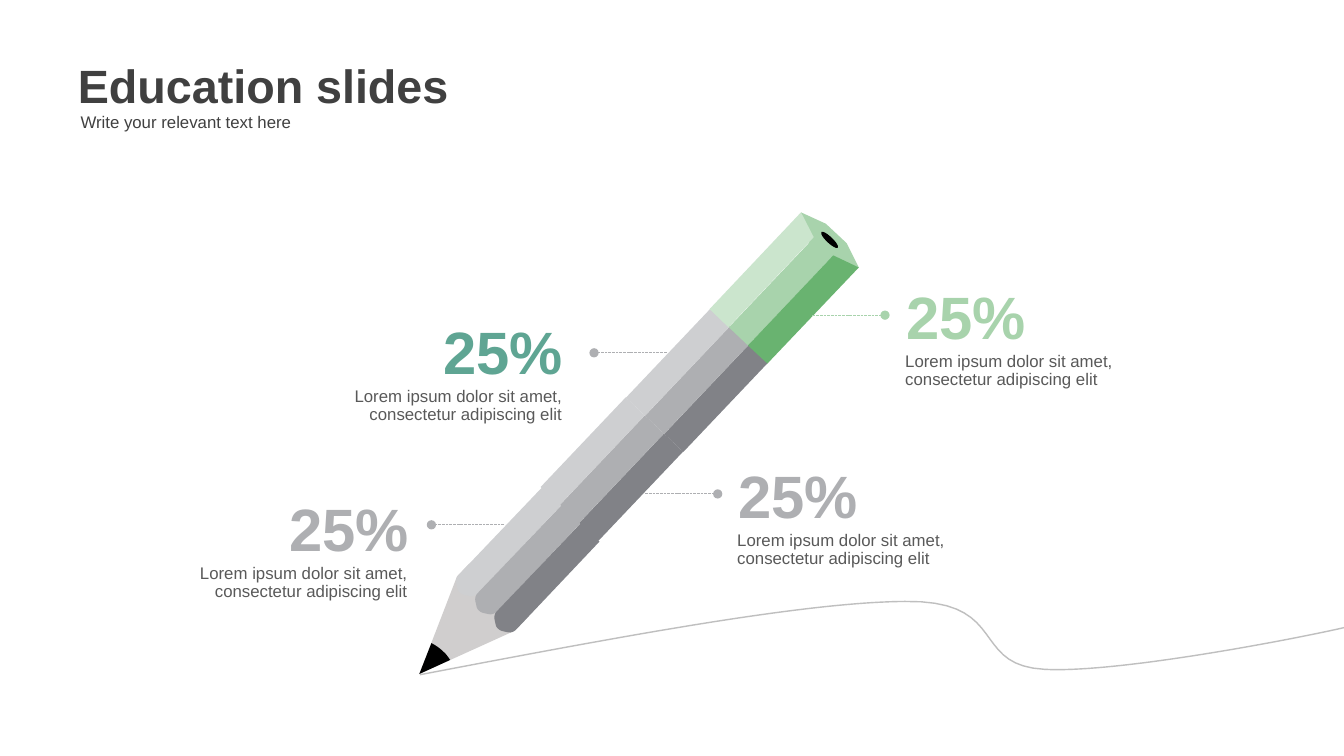
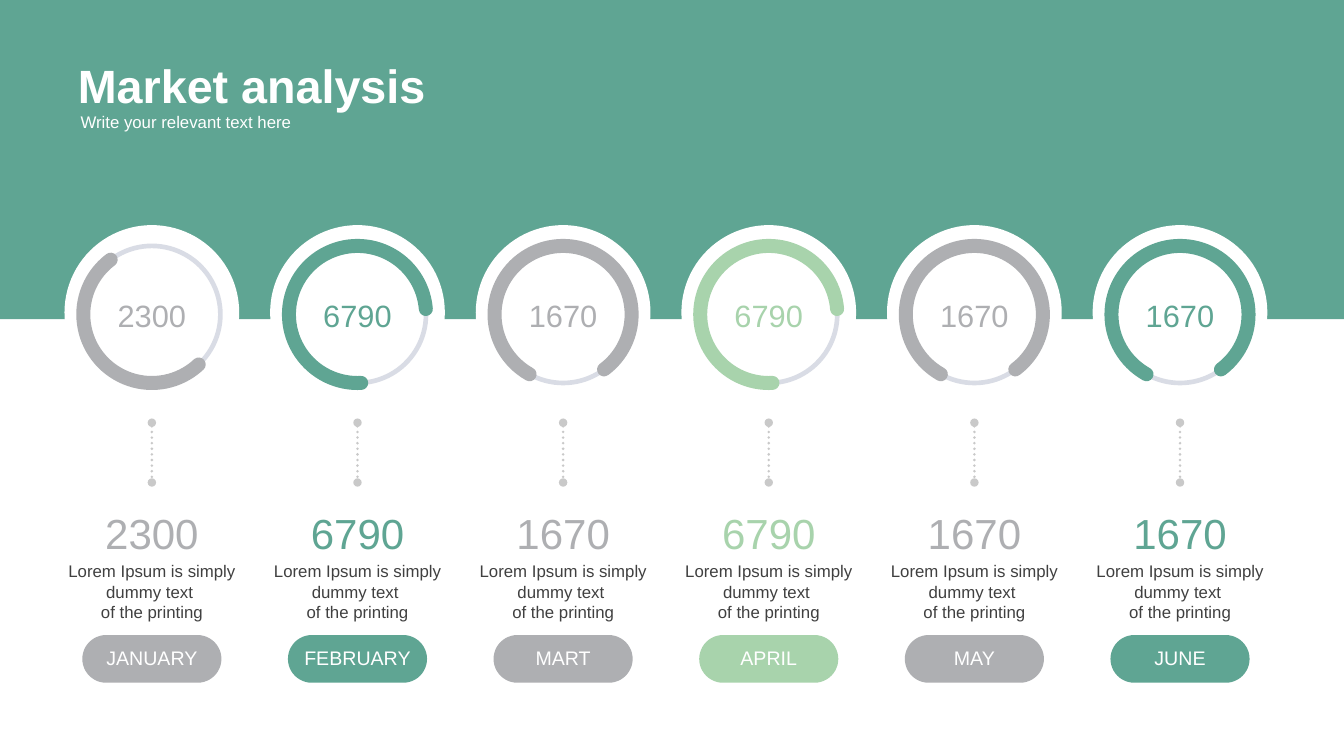
import math

import pptx
import pptx.dml.color
import pptx.enum.dml
import pptx.enum.shapes
import pptx.enum.text
import pptx.oxml.ns
import pptx.util
from lxml import etree

# The page is a grid of square cells; every length below counts cells.
COLUMNS, ROWS = 20, 11.25
CELL = pptx.util.Inches(1)

FONT = "Arial"
TEAL, GREEN, GRAY = "5FA593", "A8D3AC", "AEAFB2"
DARK_GREEN, PALE_GREEN = "69B370", "CBE5CD"
LIGHT_GRAY, DARK_GRAY, WOOD = "CECFD1", "818287", "D0CECE"
WHITE, BLACK, INK, BODY = "FFFFFF", "000000", "404040", "595959"
RING, TRAIL, LINK = "D9DCE5", "BFBFBF", "A6A6A6"

Shape = pptx.enum.shapes.MSO_SHAPE
Align = pptx.enum.text.PP_ALIGN
Dash = pptx.enum.dml.MSO_LINE


def cells(count):
    return round(count * CELL)


def rgb(color):
    return pptx.dml.color.RGBColor.from_string(color)


def paint(shape, fill=None, line=None, weight=1):
    shape.shadow.inherit = False
    if fill:
        shape.fill.solid()
        shape.fill.fore_color.rgb = rgb(fill)
    else:
        shape.fill.background()
    if line:
        shape.line.color.rgb = rgb(line)
        shape.line.width = pptx.util.Pt(weight)
    else:
        shape.line.fill.background()
    return shape


def add_shape(page, kind, box, **colors):
    return paint(page.shapes.add_shape(kind, *map(cells, box)), **colors)


def write(shape, lines, size, color, align=Align.LEFT, bold=False, spacing=None):
    frame = shape.text_frame
    for index, line in enumerate(lines):
        para = frame.paragraphs[0] if index == 0 else frame.add_paragraph()
        para.text = line
        para.alignment = align
        para.line_spacing = spacing
        para.font.name = FONT
        para.font.size = pptx.util.Pt(size)
        para.font.bold = bold
        para.font.color.rgb = rgb(color)


def add_text(page, box, lines, size, color, wrap=True, inset=True, **style):
    shape = page.shapes.add_textbox(*map(cells, box))
    frame = shape.text_frame
    frame.word_wrap = wrap
    frame.auto_size = pptx.enum.text.MSO_AUTO_SIZE.SHAPE_TO_FIT_TEXT
    if not inset:
        frame.margin_left = frame.margin_right = 0
        frame.margin_top = frame.margin_bottom = 0
    write(shape, lines, size, color, **style)


def add_element(parent, tag, **attributes):
    return etree.SubElement(parent, pptx.oxml.ns.qn(tag), **attributes)


def line_element(shape):
    return shape.line._get_or_add_ln()


def add_dotted_line(page, start, end, color, weight, dash, ends, dot_size):
    line = page.shapes.add_connector(
        pptx.enum.shapes.MSO_CONNECTOR.STRAIGHT, *map(cells, start + end))
    line.line.color.rgb = rgb(color)
    line.line.width = pptx.util.Pt(weight)
    line.line.dash_style = dash
    for tag in ends:
        add_element(line_element(line), tag, type="oval", w=dot_size, len=dot_size)
    add_element(line._element.spPr, "a:effectLst")
    return line


def trace(start, *steps):
    """Return points along steps: pairs are corners, sextets are cubic curves."""
    points = [start]
    for step in steps:
        if len(step) == 2:
            points.append(step)
            continue
        ends = [points[-1], step[:2], step[2:4], step[4:]]
        count = max(4, round(math.dist(ends[0], ends[3]) * 8))
        for t in (index / count for index in range(1, count + 1)):
            weights = ((1 - t) ** 3, 3 * t * (1 - t) ** 2, 3 * t * t * (1 - t), t ** 3)
            points.append(tuple(sum(w * end[axis] for w, end in zip(weights, ends))
                                for axis in (0, 1)))
    return points


def add_outline(page, points, closed=True, **colors):
    points = [tuple(map(cells, point)) for point in points]
    builder = page.shapes.build_freeform(*points[0])
    builder.add_line_segments(points[1:], close=closed)
    return paint(builder.convert_to_shape(), **colors)


def add_title(page, title, color, width):
    add_text(page, (1.06, 0.79, width, 0.94), [title], 50, color,
             align=Align.JUSTIFY, bold=True)
    add_text(page, (1.1, 1.61, 9.04, 0.4), ["Write your relevant text here"], 18, color)


# Pencil slide

PENCIL_TURN = 313.5
FACET_STEP = (0.285, 0.27)
FACETS = (LIGHT_GRAY, GRAY, DARK_GRAY)


def turn(point, degrees):
    angle = math.radians(degrees)
    x, y = point
    return (x * math.cos(angle) - y * math.sin(angle),
            x * math.sin(angle) + y * math.cos(angle))


def add_tilted_outline(page, points, fill):
    """Draw an outline whose frame is turned along the pencil."""
    level = [turn(point, -PENCIL_TURN) for point in points]
    middle = [(min(axis) + max(axis)) / 2 for axis in zip(*level)]
    center = turn(middle, PENCIL_TURN)
    shifted = [(x + center[0] - middle[0], y + center[1] - middle[1]) for x, y in level]
    add_outline(page, shifted, fill=fill).rotation = PENCIL_TURN


def add_tilted(page, kind, box, fill):
    add_shape(page, kind, box, fill=fill).rotation = PENCIL_TURN


def draw_pencil(page):
    for left, top in ((7.9, 6.52), (9.17, 5.19)):
        for index, color in enumerate(FACETS):
            box = (left + index * FACET_STEP[0], top + index * FACET_STEP[1], 1.84, 0.39)
            add_tilted(page, Shape.RECTANGLE, box, color)

    add_tilted_outline(page, [(11.97, 3.54), (11.92, 3.16), (12.29, 3.33), (12.6, 3.62),
                              (12.78, 3.98), (12.4, 3.95)], GREEN)
    add_tilted_outline(page, [(12.11, 3.53), (11.92, 3.16), (10.56, 4.6),
                              (10.84, 4.87)], PALE_GREEN)
    add_tilted(page, Shape.RECTANGLE, (10.7, 4.14, 1.85, 0.39), GREEN)
    add_tilted_outline(page, [(12.78, 3.98), (12.4, 3.8), (11.13, 5.14),
                              (11.42, 5.41)], DARK_GREEN)
    add_tilted(page, Shape.OVAL, (12.3, 3.4, 0.09, 0.34), BLACK)

    add_tilted_outline(page, [(7.65, 9.39), (6.24, 10.03), (6.8, 8.58), (6.98, 8.39),
                              (7.84, 9.2)], WOOD)
    facet_end = trace((8.07, 7.25), (6.82, 8.56), (6.79, 8.59, 6.78, 8.64, 6.79, 8.68),
                      (6.81, 8.77), (6.82, 8.8, 6.86, 8.84, 6.9, 8.85),
                      (6.99, 8.87), (7.03, 8.88, 7.08, 8.86, 7.11, 8.83), (8.35, 7.52))
    for index, color in enumerate(FACETS):
        add_tilted_outline(page, [(x + index * FACET_STEP[0], y + index * FACET_STEP[1])
                                  for x, y in facet_end], color)
    add_tilted_outline(page, trace((6.59, 9.69), (6.54, 9.64, 6.48, 9.6, 6.42, 9.57),
                                   (6.24, 10.03), (6.7, 9.82),
                                   (6.67, 9.78, 6.64, 9.73, 6.59, 9.69)), BLACK)


def add_callout(page, edge, top, dot, color, line_color, on_right):
    """Place a share and its text against edge, with a line from pencil to dot."""
    number_width, text_width, reach = 1.8, 4.28, 1.08
    align = Align.LEFT if on_right else Align.RIGHT
    number_left = edge + 0.02 - (0 if on_right else number_width)
    text_left = edge - (0 if on_right else text_width)
    start = (dot[0] + (-reach if on_right else reach), dot[1])
    add_dotted_line(page, start, dot, line_color, 1, Dash.SQUARE_DOT, ["a:tailEnd"], "lg")
    add_text(page, (text_left, top + 0.97, text_width, 0.54),
             ["Lorem ipsum dolor sit amet, consectetur adipiscing elit"], 18, BODY,
             inset=False, align=align, spacing=0.89)
    add_text(page, (number_left, top, number_width, 0.96), ["25%"], 64, color,
             wrap=False, inset=False, align=align, bold=True, spacing=0.89)


def build_pencil_slide(page):
    add_outline(page, trace((6.25, 10.04), (9.09, 9.5, 11.93, 8.96, 13.47, 8.95),
                            (15.02, 8.93, 14.43, 9.9, 15.54, 9.96),
                            (16.62, 10.02, 19.26, 9.51, 20, 9.34)),
                closed=False, line=TRAIL, weight=1.5)
    draw_pencil(page)
    add_callout(page, 13.47, 4.29, (13.17, 4.69), GREEN, GREEN, True)
    add_callout(page, 10.97, 6.95, (10.68, 7.35), GRAY, GRAY, True)
    add_callout(page, 8.36, 4.81, (8.84, 5.25), TEAL, GRAY, False)
    add_callout(page, 6.06, 7.44, (6.42, 7.81), GRAY, GRAY, False)
    add_title(page, "Education slides", INK, 11.35)


# Market slide

FIRST_AXIS, AXIS_STEP = 2.26, 3.06
# Start and end of each arc in degrees, clockwise from three o'clock
HALF, THREE_QUARTERS, MOST = (46.86, 233.07), (86.9, 355.43), (119.26, 53.29)
FULL = (46.86, 46.48)
MONTHS = [
    ("JANUARY", "2300", GRAY, HALF),
    ("FEBRUARY", "6790", TEAL, THREE_QUARTERS),
    ("MART", "1670", GRAY, MOST),
    ("APRIL", "6790", GREEN, THREE_QUARTERS),
    ("MAY", "1670", GRAY, MOST),
    ("JUNE", "1670", TEAL, MOST),
]


def centered(axis, top, width, height):
    return axis - width / 2, top, width, height


def add_arc(page, box, angles, color, weight):
    arc = add_shape(page, Shape.ARC, box, line=color, weight=weight)
    for index, angle in enumerate(angles):
        arc.adjustments[index] = angle * 0.6  # 60000 units a degree, scaled by 100000
    line_element(arc).set("cap", "rnd")


def add_month(page, axis, month, value, color, angles):
    link = add_dotted_line(page, (axis, 6.29), (axis, 7.18), LINK, 3, Dash.ROUND_DOT,
                           ["a:headEnd", "a:tailEnd"], "med")
    line_element(link).set("cap", "rnd")
    line_color = line_element(link).find(".//" + pptx.oxml.ns.qn("a:srgbClr"))
    add_element(line_color, "a:alpha", val="60000")

    add_shape(page, Shape.OVAL, centered(axis, 3.35, 2.6, 2.6), fill=WHITE)
    ring = centered(axis, 3.66, 2.04, 2.04)
    add_arc(page, ring, FULL, RING, 5)
    add_arc(page, ring, angles, color, 15)
    add_text(page, centered(axis, 4.36, 1.56, 0.66), [value], 33, color, align=Align.CENTER)
    add_text(page, centered(axis, 7.5, 2.48, 0.86), [value], 45, color, align=Align.CENTER)
    pill = add_shape(page, Shape.ROUNDED_RECTANGLE, centered(axis, 9.45, 2.07, 0.71),
                     fill=color)
    pill.adjustments[0] = 0.5
    pill.text_frame.vertical_anchor = pptx.enum.text.MSO_ANCHOR.MIDDLE
    write(pill, [month], 21, WHITE, align=Align.CENTER, spacing=0.9)
    add_text(page, centered(axis, 8.3, 2.71, 1.01),
             ["Lorem Ipsum is simply", "dummy text ", "of the printing"], 18, INK,
             wrap=False, align=Align.CENTER)


def build_market_slide(page):
    add_shape(page, Shape.RECTANGLE, (0, 0, COLUMNS, 4.75), fill=TEAL)
    for index, month in enumerate(MONTHS):
        add_month(page, FIRST_AXIS + index * AXIS_STEP, *month)
    add_title(page, "Market analysis", WHITE, 7.25)


def main():
    deck = pptx.Presentation()
    deck.slide_width, deck.slide_height = cells(COLUMNS), cells(ROWS)
    for build in (build_pencil_slide, build_market_slide):
        build(deck.slides.add_slide(deck.slide_layouts[6]))
    deck.save("out.pptx")


if __name__ == "__main__":
    main()
